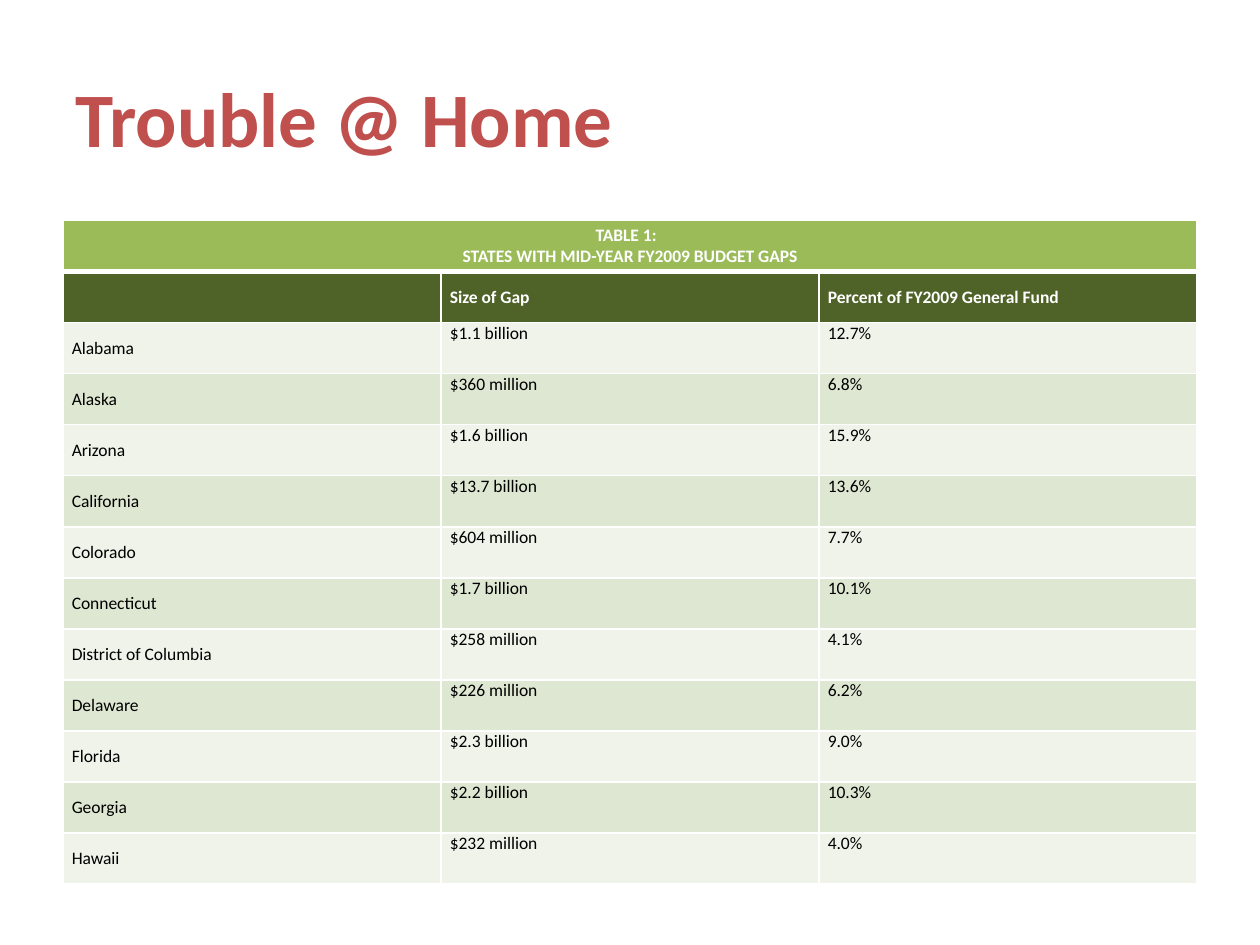
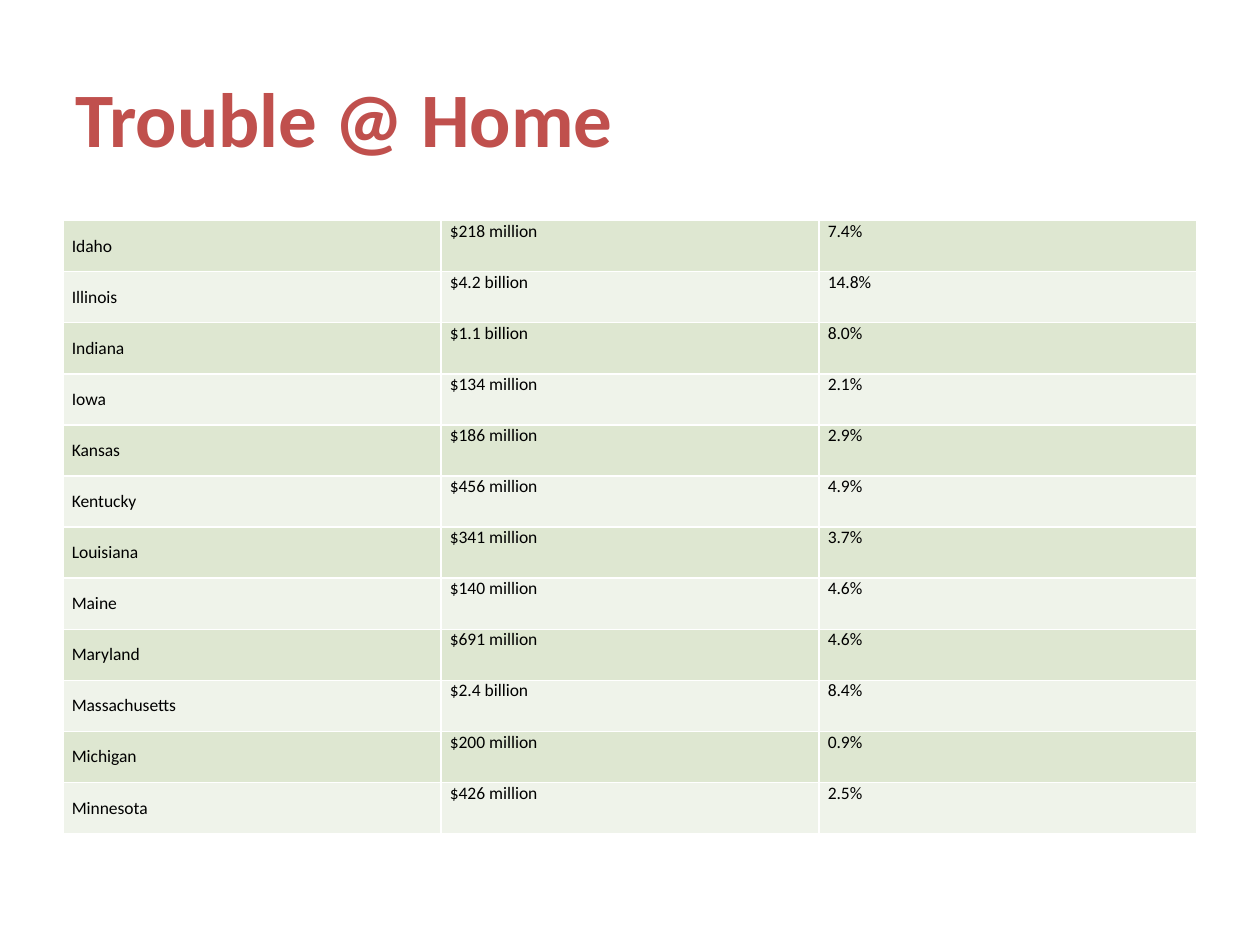
from lxml import etree
from pptx import Presentation
from pptx.dml.color import RGBColor
from pptx.enum.shapes import MSO_SHAPE
from pptx.enum.text import MSO_ANCHOR, PP_ALIGN
from pptx.oxml.ns import qn
from pptx.util import Inches, Pt

RECTANGLE = MSO_SHAPE.RECTANGLE
MIDDLE, TOP = MSO_ANCHOR.MIDDLE, MSO_ANCHOR.TOP
LEFT, CENTER = PP_ALIGN.LEFT, PP_ALIGN.CENTER

RED = RGBColor(0xC0, 0x50, 0x4D)
GREEN = RGBColor(0x9B, 0xBB, 0x59)
DARK_GREEN = RGBColor(0x4F, 0x62, 0x28)
BANDS = (RGBColor(0xEF, 0xF3, 0xEA), RGBColor(0xDE, 0xE7, 0xD1))
WHITE = RGBColor(0xFF, 0xFF, 0xFF)
BLACK = RGBColor(0x00, 0x00, 0x00)

FONT = "Calibri"
TITLE = "Trouble @ Home"
TITLE_BOX = (Inches(0.5), Inches(0.3), Inches(9), Inches(1.25))
TABLE_LEFT, TABLE_TOP, TABLE_WIDTH = Inches(0.5), Inches(1.75), Inches(9)
CELL_INSET = Inches(0.07)
THIN, THICK = Pt(1), Pt(3)

CAPTION = "TABLE 1:  \vSTATES WITH MID-YEAR FY2009 BUDGET GAPS"
HEADINGS = ("", "Size of Gap", "Percent of FY2009 General Fund")
STATES = [
    ("Alabama", "$1.1 billion", "12.7%"),
    ("Alaska", "$360 million", "6.8%"),
    ("Arizona", "$1.6 billion", "15.9%"),
    ("California", "$13.7 billion", "13.6%"),
    ("Colorado", "$604 million", "7.7%"),
    ("Connecticut", "$1.7 billion", "10.1%"),
    ("District of Columbia", "$258 million", "4.1%"),
    ("Delaware", "$226 million", "6.2%"),
    ("Florida", "$2.3 billion", "9.0%"),
    ("Georgia", "$2.2 billion", "10.3%"),
    ("Hawaii", "$232 million", "4.0%"),
    ("Idaho", "$218 million", "7.4%"),
    ("Illinois", "$4.2 billion", "14.8%"),
    ("Indiana", "$1.1 billion", "8.0%"),
    ("Iowa", "$134 million", "2.1%"),
    ("Kansas", "$186 million", "2.9%"),
    ("Kentucky", "$456 million", "4.9%"),
    ("Louisiana", "$341 million", "3.7%"),
    ("Maine", "$140 million", "4.6%"),
    ("Maryland", "$691 million", "4.6%"),
    ("Massachusetts", "$2.4 billion", "8.4%"),
    ("Michigan", "$200 million", "0.9%"),
    ("Minnesota", "$426 million", "2.5%"),
]
FIRST_PAGE_STATES = 11


def set_font(para, size, color, bold):
    para.font.name = FONT
    para.font.size = Pt(size)
    para.font.color.rgb = color
    para.font.bold = bold


def add_title(page, bounds):
    box = page.shapes.add_shape(RECTANGLE, *bounds)
    box.shadow.inherit = False
    box.fill.solid()
    box.fill.fore_color.rgb = WHITE
    box.line.fill.background()
    frame = box.text_frame
    frame.word_wrap = True
    frame.vertical_anchor = MIDDLE
    frame.text = TITLE
    para = frame.paragraphs[0]
    para.alignment = LEFT
    set_font(para, 44, RED, True)


def add_borders(cell, top, bottom):
    """Draw white borders; call before filling, as lines precede the fill."""
    properties = cell._tc.get_or_add_tcPr()
    for tag, width in (("a:lnL", THIN), ("a:lnR", THIN), ("a:lnT", top), ("a:lnB", bottom)):
        line = etree.SubElement(properties, qn(tag), w=str(width))
        fill = etree.SubElement(line, qn("a:solidFill"))
        etree.SubElement(fill, qn("a:srgbClr"), val=str(WHITE))


def style_cell(cell, text, fill, color=BLACK, bold=False, anchor=MIDDLE,
               align=LEFT, top=THIN, bottom=THIN):
    add_borders(cell, top, bottom)
    cell.fill.solid()
    cell.fill.fore_color.rgb = fill
    cell.margin_left = cell.margin_right = CELL_INSET
    cell.margin_top = cell.margin_bottom = 0
    cell.vertical_anchor = anchor
    para = cell.text_frame.paragraphs[0]
    para.text = text
    para.alignment = align
    set_font(para, 10, color, bold)


def add_grid(page, row_count, height):
    table = page.shapes.add_table(
        row_count, len(HEADINGS), TABLE_LEFT, TABLE_TOP, TABLE_WIDTH, height).table
    table.first_row = table.horz_banding = False
    return table


def fill_header(table):
    for column, heading in enumerate(HEADINGS):
        style_cell(table.cell(0, column), "" if column else CAPTION, GREEN, WHITE, True,
                   align=CENTER, bottom=THICK)
        style_cell(table.cell(1, column), heading, DARK_GREEN, WHITE, True, top=THICK)
    table.cell(0, 0).merge(table.cell(0, len(HEADINGS) - 1))


def fill_states(table, first_row, first_state, states):
    """Fill the state rows, with bands that carry on from page to page."""
    for offset, state in enumerate(states):
        band = BANDS[(first_state + offset) % 2]
        for column, text in enumerate(state):
            style_cell(table.cell(first_row + offset, column), text, band,
                       anchor=TOP if column else MIDDLE)


def add_budget_page(deck, first_state, states, height, header_rows=0):
    page = deck.slides.add_slide(deck.slide_layouts[6])
    add_title(page, TITLE_BOX)
    table = add_grid(page, header_rows + len(states), height)
    if header_rows:
        fill_header(table)
    fill_states(table, header_rows, first_state, states)


def main():
    deck = Presentation()
    deck.slide_width, deck.slide_height = Inches(10), Inches(7.5)
    add_budget_page(deck, 0, STATES[:FIRST_PAGE_STATES], Inches(5.27), header_rows=2)
    add_budget_page(deck, FIRST_PAGE_STATES, STATES[FIRST_PAGE_STATES:], Inches(4.87))
    deck.save("out.pptx")


if __name__ == "__main__":
    main()
